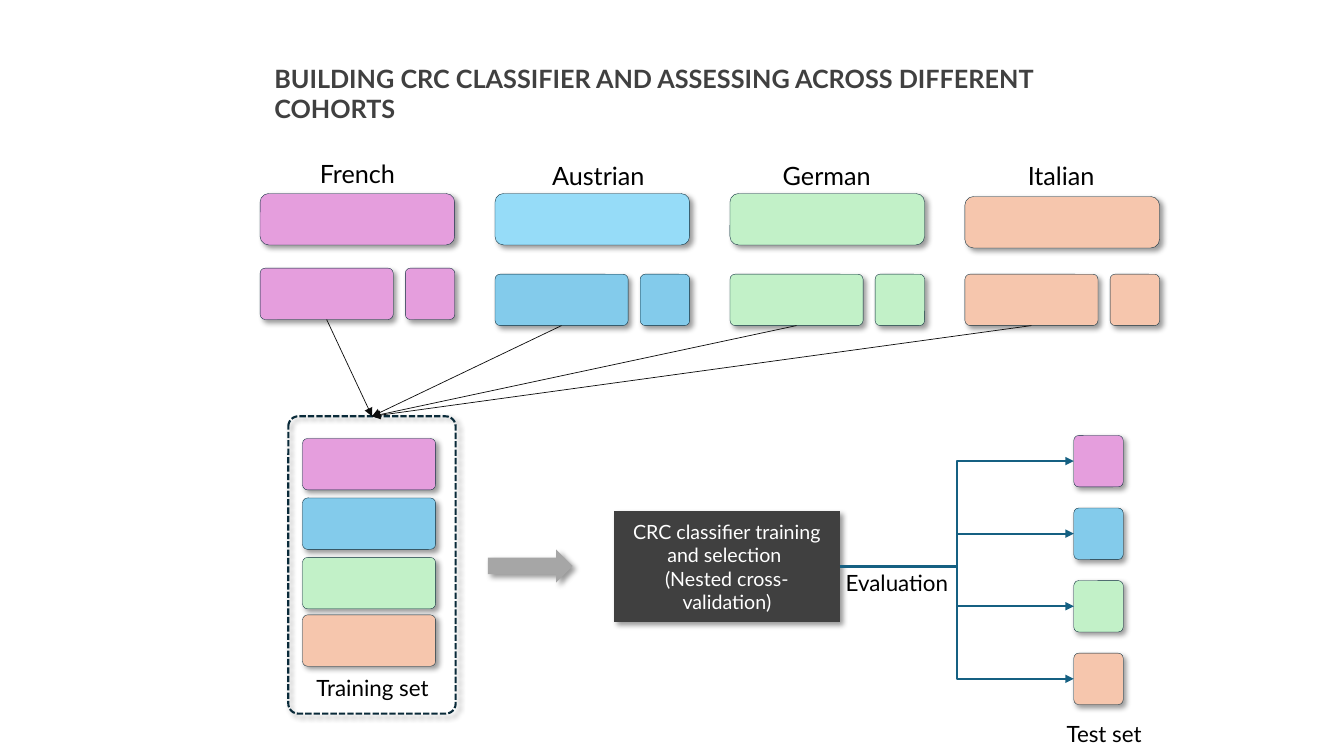
from lxml import etree
from pptx import Presentation
from pptx.dml.color import RGBColor
from pptx.enum.dml import MSO_LINE
from pptx.enum.shapes import MSO_CONNECTOR, MSO_SHAPE
from pptx.enum.text import MSO_ANCHOR, MSO_AUTO_SIZE, PP_ALIGN
from pptx.oxml import parse_xml
from pptx.oxml.ns import nsdecls, qn
from pptx.util import Pt

PX = 9144  # 100 px to the inch
TOP, LEFT, BOTTOM, RIGHT = range(4)  # connection sites
SHADOW = (
    f'<a:effectLst {nsdecls("a")}><a:outerShdw blurRad="50800" dist="38100" '
    'dir="2700000" algn="tl" rotWithShape="0"><a:srgbClr val="000000">'
    '<a:alpha val="40000"/></a:srgbClr></a:outerShdw></a:effectLst>'
)


def rgb(color):
    return RGBColor.from_string(color)


class Slide:
    font = "Lato"
    outline = "092A39"

    def __init__(self, prs):
        self.s = prs.slides.add_slide(prs.slide_layouts[5])

    def add_text(self, tf, paragraphs, size, color, align, bold=False):
        tf.word_wrap = True
        for i, text in enumerate(paragraphs):
            p = tf.add_paragraph() if i else tf.paragraphs[0]
            p.alignment = align
            r = p.add_run()
            r.text = text
            r.font.name, r.font.size, r.font.bold = self.font, Pt(size), bold
            r.font.color.rgb = rgb(color)

    def title(self, text, x, y, w, h):
        sp = self.s.shapes.title
        sp.left, sp.top, sp.width, sp.height = (v * PX for v in (x, y, w, h))
        tf = sp.text_frame
        tf.vertical_anchor = MSO_ANCHOR.TOP
        tf.auto_size = MSO_AUTO_SIZE.NONE
        self.add_text(tf, [text], 18, "404040", PP_ALIGN.LEFT, bold=True)

    def label(self, text, x, y, w, h, size=16, align=PP_ALIGN.LEFT):
        sp = self.s.shapes.add_textbox(x * PX, y * PX, w * PX, h * PX)
        self.add_text(sp.text_frame, [text], size, "000000", align)
        sp.text_frame.auto_size = MSO_AUTO_SIZE.SHAPE_TO_FIT_TEXT

    def shape(self, kind, x, y, w, h, fill=None, line=None, width=0.25, adj=None):
        """Add a preset shape with the soft lower-right shadow."""
        sp = self.s.shapes.add_shape(kind, x * PX, y * PX, w * PX, h * PX)
        if adj is not None:
            sp.adjustments[0] = adj
        if fill:
            sp.fill.solid()
            sp.fill.fore_color.rgb = rgb(fill)
        else:
            sp.fill.background()
        if line:
            sp.line.color.rgb = rgb(line)
            sp.line.width = Pt(width)
        else:
            sp.line.fill.background()
        sp._element.spPr.append(parse_xml(SHADOW))
        return sp

    def block(self, x, y, w, fill, adj=0.1):
        return self.shape(MSO_SHAPE.ROUNDED_RECTANGLE, x, y, w, 51, fill,
                          self.outline, adj=adj)

    def arrow(self, kind, start, start_site, end, end_site, color, width):
        c = self.s.shapes.add_connector(kind, 0, 0, 0, 0)
        c.begin_connect(start, start_site)
        c.end_connect(end, end_site)
        c.line.color.rgb = rgb(color)
        c.line.width = Pt(width)
        spPr = c._element.spPr
        etree.SubElement(spPr.get_or_add_ln(), qn("a:tailEnd"), type="triangle")
        etree.SubElement(spPr, qn("a:effectLst"))


# name, label box (x, y, w), cohort top, split top, training top, cohort and split fills
COHORTS = [
    ("French", (307, 152, 95), 192, 266, 435, "E59EDD", "E59EDD"),
    ("Austrian", (532, 154, 123), 192, 272, 494, "96DCF8", "83CBEB"),
    ("German", (765, 154, 110), 192, 272, 553, "C2F1C8", "C2F1C8"),
    ("Italian", (1005, 154, 95), 195, 272, 610, "F6C6AD", "F6C6AD"),
]


def main():
    prs = Presentation()
    prs.slide_width, prs.slide_height = 1333 * PX, 750 * PX
    slide = Slide(prs)
    slide.title("BUILDING CRC CLASSIFIER AND ASSESSING ACROSS DIFFERENT COHORTS",
                262, 58, 879, 40)

    train_parts, test_blocks = [], []
    for i, (name, box, top, split_top, train_top, fill, split_fill) in enumerate(COHORTS):
        x = 258 + 233 * i
        slide.block(x, top, 193, fill, adj=None)
        slide.label(name, *box, 40, size=18, align=PP_ALIGN.CENTER)
        train_parts.append(slide.block(x, split_top, 132, split_fill))
        slide.block(x + 144, split_top, 49, split_fill)
        slide.block(300, train_top, 132, split_fill)
        test_blocks.append(slide.block(1065, 432 + 72 * i, 49, split_fill))

    training_set = slide.shape(MSO_SHAPE.ROUNDED_RECTANGLE, 286, 413, 166, 295,
                               line=slide.outline, width=1.5, adj=0.06)
    training_set.line.dash_style = MSO_LINE.SQUARE_DOT
    slide.label("Training set", 304, 664, 132, 37)

    classifier = slide.shape(MSO_SHAPE.RECTANGLE, 609, 507, 224, 110, "404040")
    classifier.text_frame.vertical_anchor = MSO_ANCHOR.MIDDLE
    slide.add_text(classifier.text_frame,
                   ["CRC classifier training and selection ", "(Nested cross-validation)"],
                   14, "FFFFFF", PP_ALIGN.CENTER)
    slide.shape(MSO_SHAPE.RIGHT_ARROW, 484, 545, 84, 33, "A6A6A6")

    for test_block in test_blocks:
        slide.arrow(MSO_CONNECTOR.ELBOW, classifier, RIGHT, test_block, LEFT,
                    "156082", 1.5)
    slide.label("Evaluation", 829, 560, 146, 37)
    for part in train_parts:
        slide.arrow(MSO_CONNECTOR.STRAIGHT, part, BOTTOM, training_set, TOP,
                    "0D0D0D", 0.5)
    slide.label("Test set", 1048, 710, 132, 37)
    prs.save("out.pptx")


if __name__ == "__main__":
    main()
